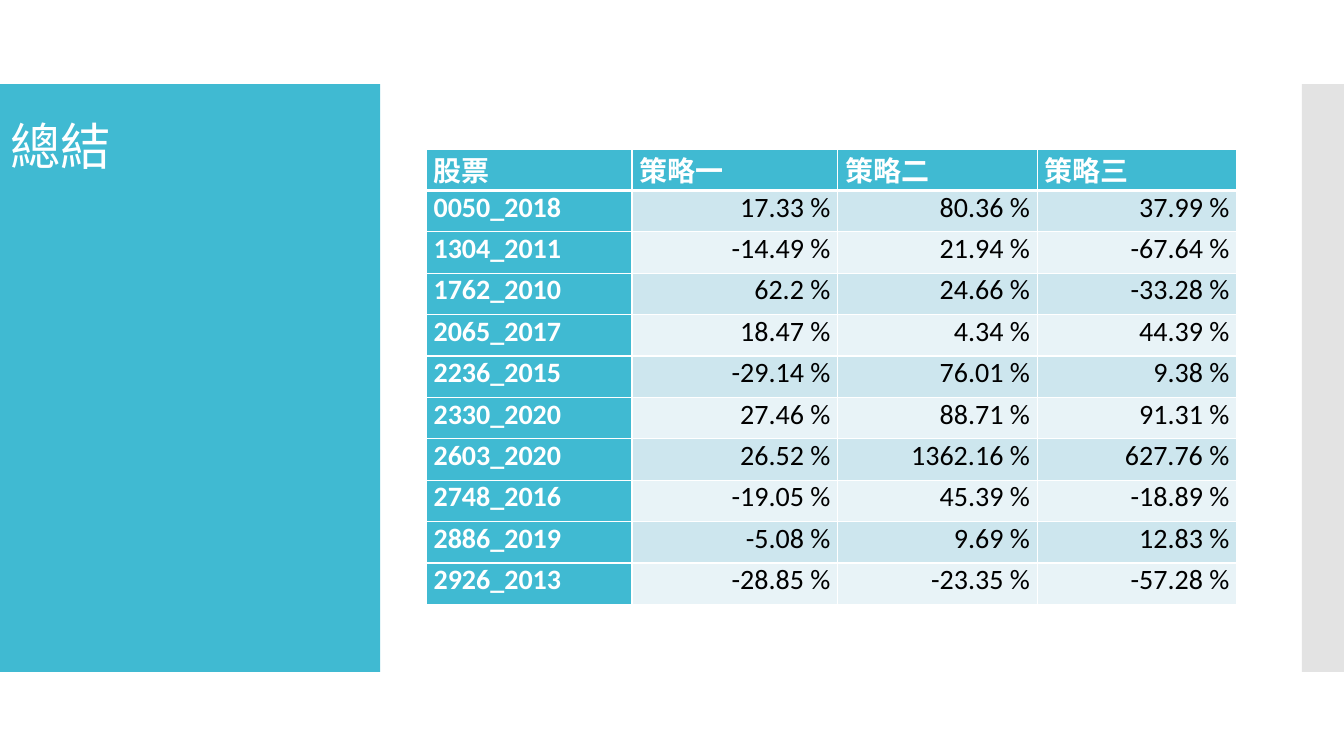
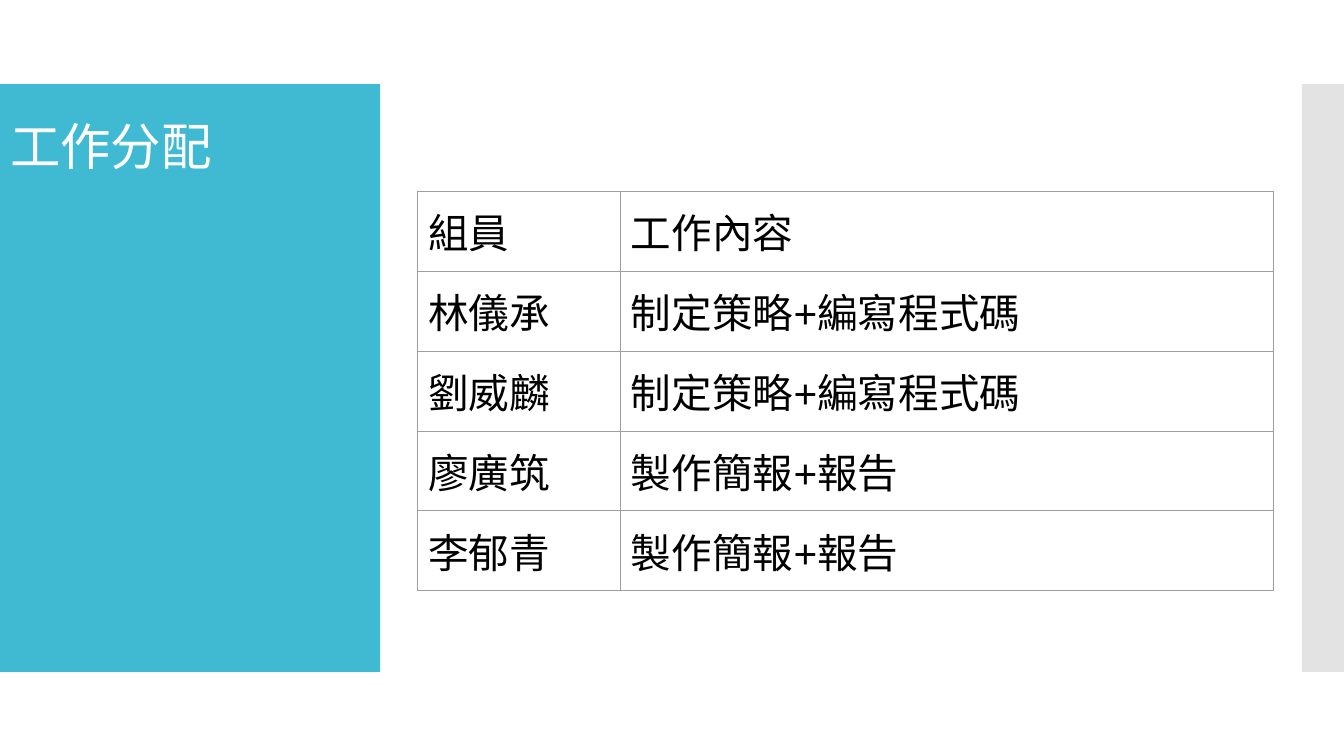
from lxml import etree
from pptx import Presentation
from pptx.dml.color import RGBColor
from pptx.enum.shapes import MSO_SHAPE
from pptx.enum.text import MSO_ANCHOR, MSO_AUTO_SIZE, PP_ALIGN
from pptx.oxml.ns import qn
from pptx.util import Emu, Pt

RECT = MSO_SHAPE.RECTANGLE
MIDDLE, TOP = MSO_ANCHOR.MIDDLE, MSO_ANCHOR.TOP
LEFT, RIGHT = PP_ALIGN.LEFT, PP_ALIGN.RIGHT
NO_FIT = MSO_AUTO_SIZE.NONE
TITLE_ONLY = 5

# Shared look
PX = 9525
COLORS = {"accent": "40BAD2", "side": "C8C8C8", "white": "FFFFFF",
          "black": "000000", "odd": "CDE6EE", "even": "E8F3F7",
          "grid": "9E9E9E"}
TITLE = {"name": "Calibri", "size": 36, "color": "white", "bold": False}
HEAD = {"name": "Arial", "size": 20, "color": "white", "bold": True}
STOCK = {**HEAD, "name": "Calibri"}
RATE = {**STOCK, "color": "black", "bold": False}
TASK = {"name": "Arial", "size": 29, "color": "black", "bold": False}

# Content
RETURNS = [
    ("股票", "策略一", "策略二", "策略三"),
    ("0050_2018", "17.33 %", "80.36 %", "37.99 %"),
    ("1304_2011", "-14.49 %", "21.94 %", "-67.64 %"),
    ("1762_2010", "62.2 %", "24.66 %", "-33.28 %"),
    ("2065_2017", "18.47 %", "4.34 %", "44.39 %"),
    ("2236_2015", "-29.14 %", "76.01 %", "9.38 %"),
    ("2330_2020", "27.46 %", "88.71 %", "91.31 %"),
    ("2603_2020", "26.52 %", "1362.16 %", "627.76 %"),
    ("2748_2016", "-19.05 %", "45.39 %", "-18.89 %"),
    ("2886_2019", "-5.08 %", "9.69 %", "12.83 %"),
    ("2926_2013", "-28.85 %", "-23.35 %", "-57.28 %"),
]
DUTIES = [
    ("組員", "工作內容"),
    ("林儀承", "制定策略+編寫程式碼"),
    ("劉威麟", "制定策略+編寫程式碼"),
    ("廖廣筑", "製作簡報+報告"),
    ("李郁青", "製作簡報+報告"),
]


def px(n):
    return Emu(round(n * PX))


def rgb(key):
    return RGBColor.from_string(COLORS[key])


def write(tf, text, style, align=LEFT):
    p = tf.paragraphs[0]
    p.alignment = align
    r = p.add_run()
    r.text = text
    values = {**style, "size": Pt(style["size"])}
    r.font.color.rgb = rgb(values.pop("color"))
    for name, value in values.items():
        setattr(r.font, name, value)
    return p


def add_band(slide, x, w, color, alpha=None):
    sp = slide.shapes.add_shape(RECT, px(x), px(80), px(w), px(560))
    sp.shadow.inherit = False
    sp.fill.solid()
    sp.fill.fore_color.rgb = rgb(color)
    sp.line.fill.background()
    if alpha:
        clr = sp.fill._xPr.find(".//" + qn("a:srgbClr"))
        etree.SubElement(clr, qn("a:alpha"), val=str(alpha * 1000))


def add_slide(prs, title):
    slide = prs.slides.add_slide(prs.slide_layouts[TITLE_ONLY])
    add_band(slide, 0, 362, "accent")
    add_band(slide, 1240, 40, "side", alpha=50)
    sp = slide.shapes.title
    slide.shapes._spTree.append(sp._element)  # title in front of the band
    sp.left, sp.top, sp.width, sp.height = px(0), px(74), px(361), px(136)
    tf = sp.text_frame
    tf.word_wrap, tf.auto_size, tf.vertical_anchor = True, NO_FIT, MIDDLE
    write(tf, title, TITLE).line_spacing = 0.9
    return slide


def add_border(cell, side, color, width):
    ln = etree.SubElement(cell._tc.get_or_add_tcPr(), qn("a:ln" + side),
                          w=str(Pt(width)))
    fill = etree.SubElement(ln, qn("a:solidFill"))
    etree.SubElement(fill, qn("a:srgbClr"), val=COLORS[color])


def add_table(slide, rows, x, y, widths, height, margins, look):
    """look(row, col) gives text style, alignment, fill and borders."""
    frame = slide.shapes.add_table(len(rows), len(widths), px(x), px(y),
                                   px(sum(widths)), px(height))
    table = frame.table
    table.first_row = table.horz_banding = False
    for column, width in zip(table.columns, widths):
        column.width = px(width)
    for i, row in enumerate(rows):
        table.rows[i].height = px(height / len(rows))
        for j, text in enumerate(row):
            cell = table.cell(i, j)
            style, align, fill, borders = look(i, j)
            cell.margin_left = cell.margin_right = px(margins[0])
            cell.margin_top = cell.margin_bottom = px(margins[1])
            cell.vertical_anchor = TOP
            for side, (color, width) in borders.items():
                add_border(cell, side, color, width)
            if fill:
                cell.fill.solid()
                cell.fill.fore_color.rgb = rgb(fill)
            else:
                cell.fill.background()
            write(cell.text_frame, text, style, align)


def returns_look(i, j):
    borders = {side: ("white", 1) for side in "LRTB"}
    if i < 2:  # thick rule under the header
        borders["B" if i == 0 else "T"] = ("white", 3)
    if i == 0:
        return HEAD, LEFT, "accent", borders
    if j == 0:
        return STOCK, LEFT, "accent", borders
    return RATE, RIGHT, "odd" if i % 2 else "even", borders


def duties_look(i, j):
    return TASK, LEFT, None, {side: ("grid", 0.75) for side in "LRTB"}


def main():
    prs = Presentation()
    prs.slide_width, prs.slide_height = px(1280), px(720)

    # Strategy returns
    add_table(add_slide(prs, "總結"), RETURNS, 406, 142,
              (196, 196, 190, 190), 434, (7, 0), returns_look)

    # Division of work
    add_table(add_slide(prs, "工作分配"), DUTIES, 398, 182,
              (193, 622), 376, (10, 10), duties_look)

    prs.save("out.pptx")


if __name__ == "__main__":
    main()
